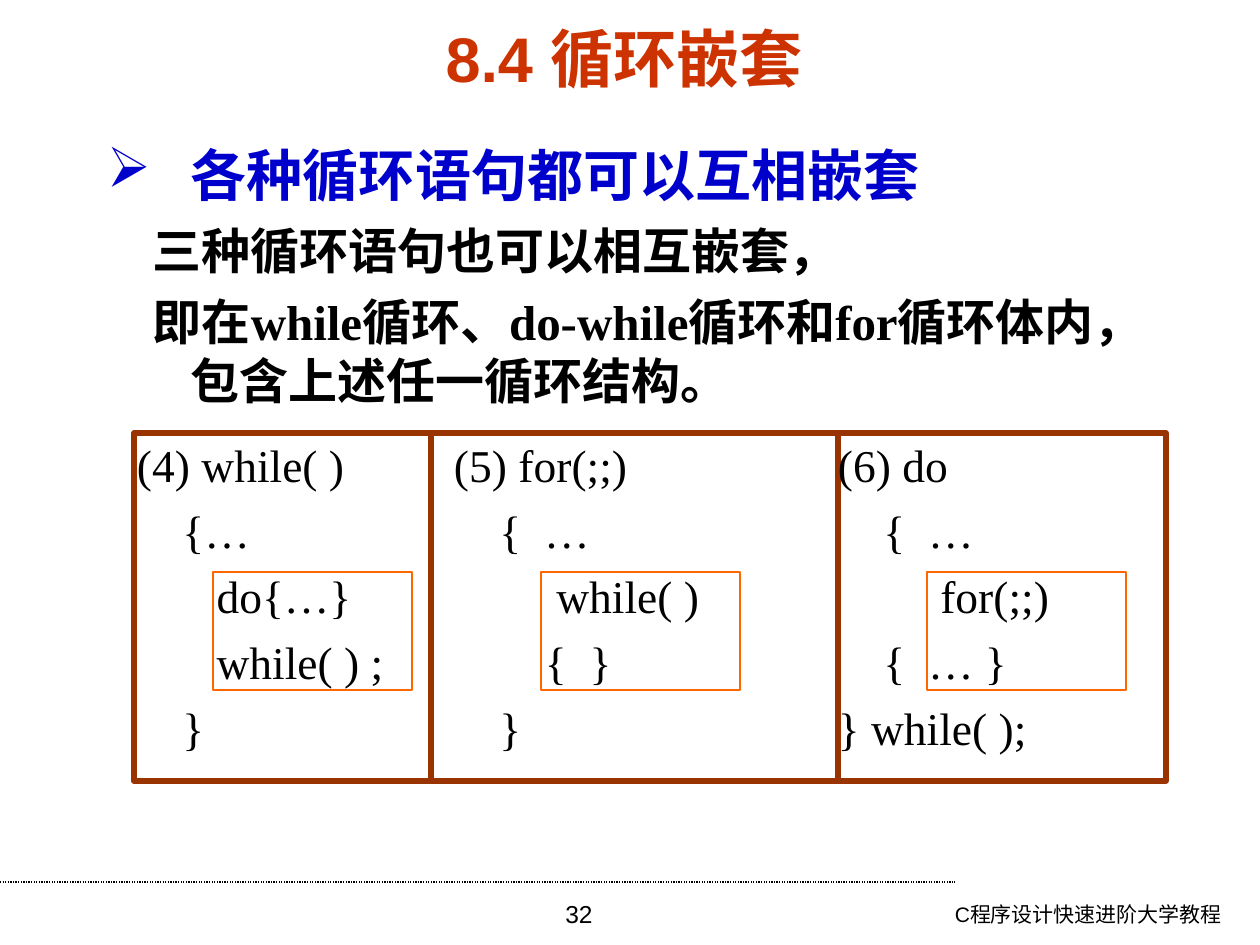
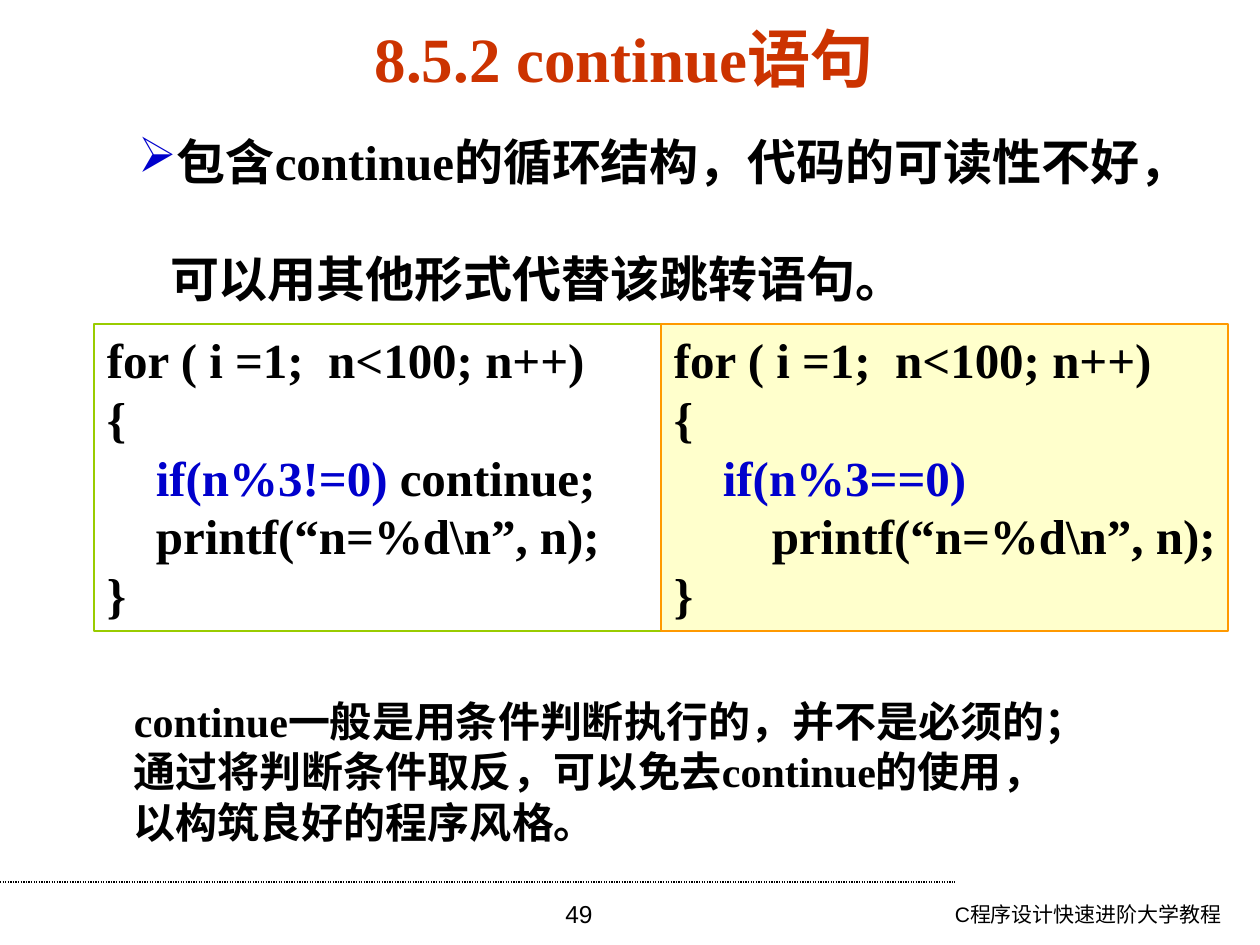
"""Builds two lecture slides on nested loops and the continue statement."""
from lxml.etree import SubElement
from pptx import Presentation
from pptx.dml.color import RGBColor
from pptx.enum.dml import MSO_LINE
from pptx.enum.shapes import MSO_CONNECTOR, MSO_SHAPE
from pptx.enum.text import MSO_ANCHOR, PP_ALIGN as ALIGN
from pptx.oxml.ns import qn
from pptx.util import Emu, Pt

color = RGBColor.from_string
SANS, SERIF = "Arial", "Times New Roman"
BLACK, BLUE, TITLE_RED = "000000", "0000CC", "CC3300"
PANEL_BROWN, INNER_ORANGE = "993300", "FF6600"
LINE_HEIGHT = 1.195


def px(count):
    """Turn a length in px into EMU."""
    return Emu(round(count * 914400 / 126))


def add_box(page, area, text=(), size=28, font=SERIF, ink=BLACK, bold=False,
            align=ALIGN.LEFT, before=0, left=0, first=0, bullet=None,
            inset=(13, 6), fill=None, line=None, weight=0.75, wrap=True):
    """Add a rectangle whose paragraphs are strings or lists of (text, colour)."""
    box = page.shapes.add_shape(MSO_SHAPE.RECTANGLE, *map(px, area))
    box.shadow.inherit = False
    if fill:
        box.fill.solid()
        box.fill.fore_color.rgb = color(fill)
    else:
        box.fill.background()
    if line:
        box.line.color.rgb = color(line)
        box.line.width = Pt(weight)
    else:
        box.line.fill.background()
    frame = box.text_frame
    frame.word_wrap = wrap
    frame.vertical_anchor = MSO_ANCHOR.TOP
    frame.margin_left = frame.margin_right = px(inset[0])
    frame.margin_top = frame.margin_bottom = px(inset[1])
    for index, content in enumerate(text):
        para = frame.add_paragraph() if index else frame.paragraphs[0]
        props = para._p.get_or_add_pPr()
        props.set("marL", str(px(left)))
        props.set("indent", str(px(first)))
        if bullet:
            tint = SubElement(props, qn("a:buClr"))
            SubElement(tint, qn("a:srgbClr")).set("val", BLUE)
            SubElement(props, qn("a:buChar")).set("char", bullet)
        para.alignment = align
        para.line_spacing = Pt(round(size * LINE_HEIGHT, 1))
        para.space_before = Pt(before if index else 0)
        spans = [(content, ink)] if isinstance(content, str) else content
        for words, shade in spans:
            span = para.add_run()
            span.text = words
            span.font.name = font
            span.font.size = Pt(size)
            span.font.bold = bold
            span.font.color.rgb = color(shade)
    return box


deck = Presentation()
deck.slide_width, deck.slide_height = px(1260), px(945)

pages = []
for title, title_font, number in (("8.4 循环嵌套", SANS, "32"),
                                  ("8.5.2 continue语句", SERIF, "49")):
    page = deck.slides.add_slide(deck.slide_layouts[6])
    rule = page.shapes.add_connector(MSO_CONNECTOR.STRAIGHT, 0, px(882), px(955), px(882))
    rule.line.color.rgb = color(BLACK)
    rule.line.width = Pt(0.75)
    rule.line.dash_style = MSO_LINE.ROUND_DOT
    SubElement(rule._element.spPr, qn("a:effectLst"))
    add_box(page, (828, 896, 407, 49), ["C程序设计快速进阶大学教程"],
            size=12, font=SANS, align=ALIGN.RIGHT)
    add_box(page, (432, 893, 294, 52), [number], size=14, font=SANS, align=ALIGN.CENTER)
    add_box(page, (54, 14, 1140, 88), [title], size=36, font=title_font,
            ink=TITLE_RED, bold=True, align=ALIGN.CENTER)
    pages.append(page)
nesting, skipping = pages

add_box(nesting, (94, 135, 1068, 80), ["各种循环语句都可以互相嵌套"], size=32, font=SANS,
        ink=BLUE, bold=True, left=84, first=-84, bullet="➢")
add_box(nesting, (94, 215, 1068, 205),
        ["三种循环语句也可以相互嵌套，",
         "即在while循环、do-while循环和for循环体内，包含上述任一循环结构。"],
        bold=True, before=7, left=84, first=-38)

panels = (
    (134, 297, 3, 213, ["(4) while( )", "    {…", "       do{…}",
                        "       while( ) ;", "    }"]),
    (431, 407, 23, 541, ["(5) for(;;)", "    {  …", "         while( )",
                         "        {  }", "    }"]),
    (838, 328, 0, 927, ["(6) do", "    {  …", "         for(;;)",
                        "    {  … }", "} while( );"]),
)
for panel_left, panel_width, margin, inner_left, code in panels:
    add_box(nesting, (panel_left, 433, panel_width, 348), code, size=26, before=6.5,
            inset=(margin, 4), line=PANEL_BROWN, weight=3)
    add_box(nesting, (inner_left, 572, 199, 118), line=INNER_ORANGE)

loop_head = ["for ( i =1;  n<100; n++)", "{"]
add_box(skipping, (94, 324, 595, 307),
        loop_head + [[("    ", BLACK), ("if(n%3!=0)", BLUE), (" continue;", BLACK)],
                     "    printf(“n=%d\\n”, n);", "}"],
        bold=True, line="99CC00")
add_box(skipping, (661, 324, 567, 307),
        loop_head + [[("    if(n%3==0)", BLUE)],
                     "        printf(“n=%d\\n”, n);", "}"],
        bold=True, fill="FFFFCC", line="FF9900", wrap=False)
add_box(skipping, (125, 126, 1028, 130), ["包含continue的循环结构，代码的可读性不好，"],
        bold=True, left=28, first=-28, bullet="➢")
add_box(skipping, (125, 243, 1028, 72), ["可以用其他形式代替该跳转语句。"],
        bold=True, left=32)
add_box(skipping, (121, 690, 1040, 164),
        ["continue一般是用条件判断执行的，并不是必须的；",
         "通过将判断条件取反，可以免去continue的使用，",
         "以构筑良好的程序风格。"], size=24, bold=True)

deck.save("out.pptx")
